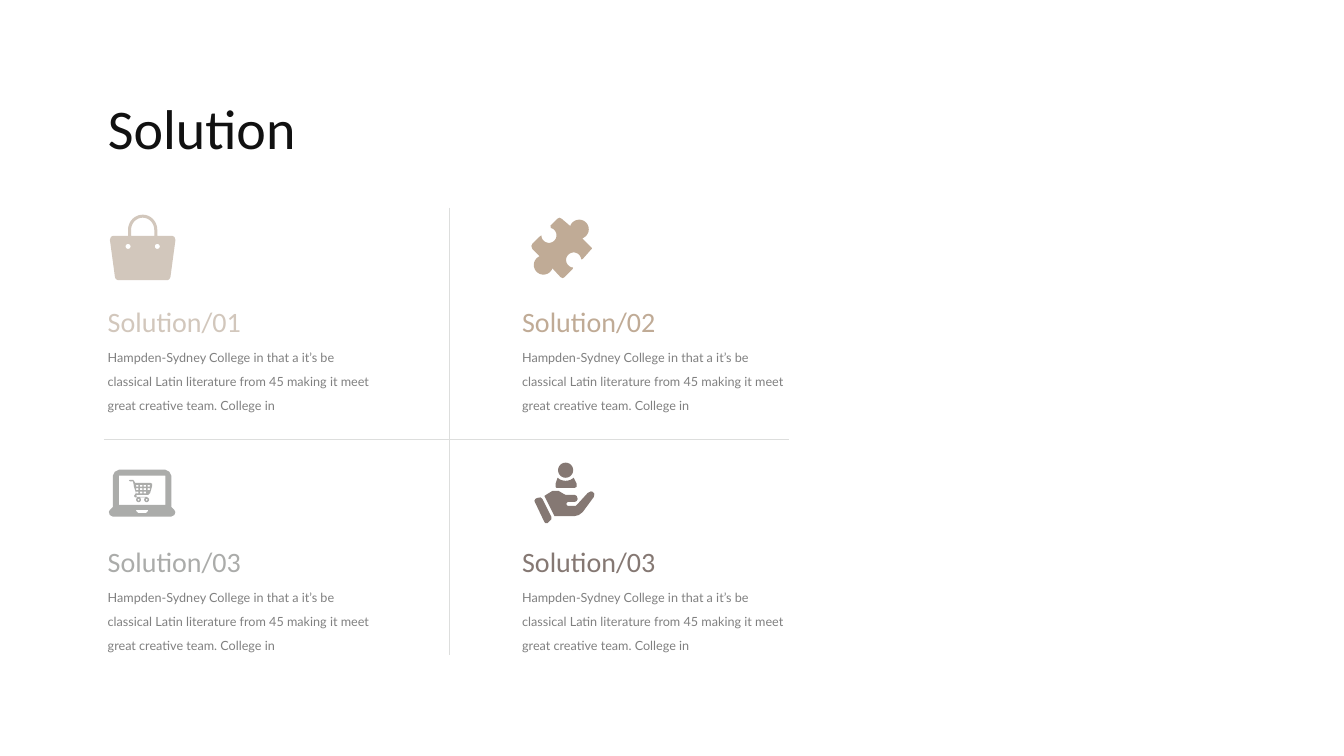
from dataclasses import dataclass
from itertools import product
from math import cos, radians, sin

from lxml.etree import SubElement
from pptx import Presentation
from pptx.dml.color import RGBColor
from pptx.enum.shapes import MSO_CONNECTOR
from pptx.enum.text import MSO_ANCHOR, MSO_AUTO_SIZE, PP_ALIGN
from pptx.oxml.ns import qn
from pptx.util import Inches, Pt

Point = tuple[float, float]
Contour = list[Point]

# Grid of cells, in inches
LEFT, COL_STEP = 0.97, 4.11
TOP, ROW_STEP = 2.97, 2.38
TEXT_WIDTH = 2.88
BODY_DROP = 0.37
ICON_UNIT = 0.01

BODY = ["Hampden-Sydney College in that a it’s be",
        "classical Latin literature from 45 making it meet great creative team. College in"]


@dataclass
class Solution:
    col: int
    row: int
    heading: str
    color: str
    icon: list[Contour]
    icon_dx: float
    icon_dy: float


@dataclass
class Rule:
    start: Point
    end: Point


def arc(cx: float, cy: float, rx: float, ry: float,
        start: float = 0, end: float = 360) -> Contour:
    """Points along an ellipse; angles run clockwise from the right."""
    steps = 24
    angles = [radians(start + (end - start) * i / steps) for i in range(steps + 1)]
    return [(cx + rx * cos(a), cy + ry * sin(a)) for a in angles]


def box(x: float, y: float, w: float, h: float) -> Contour:
    return [(x, y), (x + w, y), (x + w, y + h), (x, y + h)]


BAG = [
    [(3, 21), (18, 21), *arc(32.5, 15, 14.5, 15, 180, 360), (47, 21), (62, 21),
     (64, 22), (65, 25), (60, 62), (59, 64), (57, 65), (8, 65), (6, 64), (5, 62),
     (0, 25), (1, 22)],
    [(21, 21), *arc(32.5, 15, 11.5, 12, 180, 360), (44, 21)],
    *[arc(x, 31.5, 2.5, 2.5) for x in (18, 47)],
]

PUZZLE = [
    [(58, 28), (51, 21), *arc(47.5, 11.5, 9.5, 9.5, 70, -160),
     (30, 1), (28, 0), (26, 1), (19, 8), *arc(17.5, 17.5, 7.5, 7.5, -75, 180),
     (8, 19), (1, 26), (0, 28), (1, 31), (8, 38), *arc(12, 47, 9.5, 9.5, 245, 20),
     (29, 59), (31, 60), (33, 59), (41, 51), *arc(42, 42, 7.5, 7.5, 95, 355),
     (51, 41), (58, 33), (60, 31), (60, 30)],
]

LAPTOP = [
    [(65, 40), (62, 37), (62, 6), (60, 2), (56, 0), (10, 0), (6, 2), (4, 6), (4, 37),
     (1, 40), (0, 42), (1, 45), (4, 46.5), (62, 46.5), (65, 45), (66, 42)],
    box(10, 6, 46, 29),
    [(27, 40), (39, 40), (39, 41), (37, 43), (29, 43), (27, 41)],
    [(20, 10.5), (21, 10), (24, 10), (25, 11), (26, 13), (41, 13), (43, 14), (43, 16),
     (41, 23), (39, 25), (28, 25), (27, 26), (28, 27), (38, 27), (38, 27.5), (26, 27.5),
     (25, 26), (27, 23), (25, 17), (24, 11.5), (21, 11.5)],
    *[arc(x, 29.8, r, r) for x, r in product((29.5, 37.5), (2.4, 0.9))],
    *[box(27 + 3.8 * c, 15 + 3.4 * r, 2.4, 1.8)
      for r, c in product(range(3), range(4)) if r + c < 5],
]

HAND = [
    arc(31, 7.5, 7.5, 7.5),
    [(22, 25), (21, 24), (21, 21), (23, 15), *arc(31, 10, 10, 8, 140, 40),
     (39, 15), (42, 21), (42, 24), (40, 25)],
    [(8, 36), (6, 34.5), (3, 35), (1, 36), (0, 38), (10, 59), (11, 60), (13, 60),
     (15, 58), (17, 56), (17, 54)],
    [(58, 29), (56, 28.5), (53, 30), (43, 41), (41, 43), (33, 43), (31.5, 41), (33, 39),
     (40, 39), (42, 38), (43, 36), (42, 33), (40, 32), (31, 32), (29, 31), (24, 28),
     (18, 28), (13, 31), (10, 33), (20, 53), (40, 53), (44, 52), (48, 49), (59, 34),
     (59.5, 31)],
]

SOLUTIONS = [
    Solution(0, 0, "Solution/01", "D2C7BC", BAG, 0.12, -0.84),
    Solution(1, 0, "Solution/02", "C0AB96", PUZZLE, 0.19, -0.81),
    Solution(0, 1, "Solution/03", "ABACAA", LAPTOP, 0.11, -0.69),
    Solution(1, 1, "Solution/03", "857873", HAND, 0.22, -0.76),
]
RULES = [Rule((1.03, 4.36), (7.83, 4.36)), Rule((4.46, 2.06), (4.46, 6.5))]


def rgb(color: str) -> RGBColor:
    return RGBColor.from_string(color)


def write(sp, lines: list[str], size: float, font: str, color: str,
          spacing: float | None = None) -> None:
    tf = sp.text_frame
    frame_format = {"word_wrap": True, "vertical_anchor": MSO_ANCHOR.TOP,
                    "auto_size": MSO_AUTO_SIZE.SHAPE_TO_FIT_TEXT}
    for name, value in frame_format.items():
        setattr(tf, name, value)
    for i, line in enumerate(lines):
        p = tf.paragraphs[0] if i == 0 else tf.add_paragraph()
        p.alignment = PP_ALIGN.LEFT
        if spacing:
            p.line_spacing = Pt(spacing)
        r = p.add_run()
        r.text = line
        for name, value in {"size": Pt(size), "name": font}.items():
            setattr(r.font, name, value)
        r.font.color.rgb = rgb(color)


def place(sp, x: float, y: float, w: float, h: float) -> None:
    for name, value in {"left": x, "top": y, "width": w, "height": h}.items():
        setattr(sp, name, Inches(value))


def draw_icon(s, contours: list[Contour], x: float, y: float, color: str) -> None:
    """Draw all contours as one shape, so that inner ones become holes."""
    builder = None
    for contour in contours:
        pts = [(Inches(x + px * ICON_UNIT), Inches(y + py * ICON_UNIT))
               for px, py in contour]
        if builder is None:
            builder = s.shapes.build_freeform(*pts[0])
        else:
            builder.move_to(*pts[0])
        builder.add_line_segments(pts[1:], close=True)
    sp = builder.convert_to_shape()
    sp.shadow.inherit = False
    sp.fill.solid()
    sp.fill.fore_color.rgb = rgb(color)
    sp.line.fill.background()


def draw_solution(s, item: Solution) -> None:
    x, y = LEFT + item.col * COL_STEP, TOP + item.row * ROW_STEP
    draw_icon(s, item.icon, x + item.icon_dx, y + item.icon_dy, item.color)
    heading = s.shapes.add_textbox(0, 0, 0, 0)
    place(heading, x, y, TEXT_WIDTH, 0.44)
    write(heading, [item.heading], 20, "Calibri", item.color)
    body = s.shapes.add_textbox(0, 0, 0, 0)
    place(body, x, y + BODY_DROP, TEXT_WIDTH, 0.78)
    write(body, BODY, 9, "Lato", "808080", 17)


def draw_rule(s, rule: Rule) -> None:
    ends = [Inches(v) for v in (*rule.start, *rule.end)]
    line = s.shapes.add_connector(MSO_CONNECTOR.STRAIGHT, *ends)
    line.line.color.rgb = rgb("DDDEDD")
    line.line.width = Pt(1)
    SubElement(line._element.spPr, qn("a:effectLst"))


def main() -> None:
    prs = Presentation()
    prs.slide_width, prs.slide_height = Inches(13.33), Inches(7.5)
    s = prs.slides.add_slide(prs.slide_layouts[5])
    place(s.shapes.title, LEFT, 0.92, 4.38, 0.74)
    write(s.shapes.title, ["Solution"], 40, "Calibri", "111111", 45)
    for item in SOLUTIONS:
        draw_solution(s, item)
    for rule in RULES:
        draw_rule(s, rule)
    prs.save("out.pptx")


if __name__ == "__main__":
    main()
